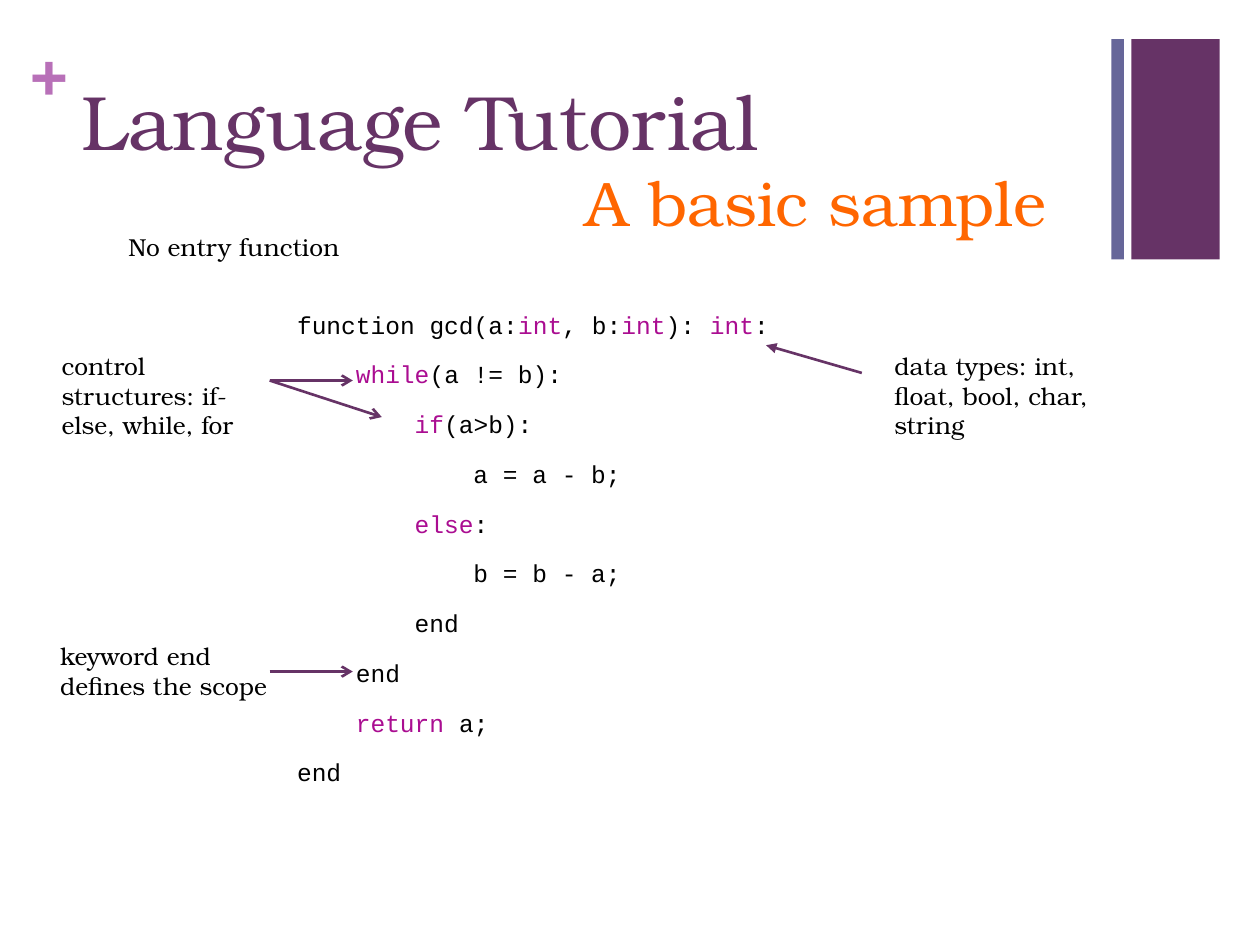
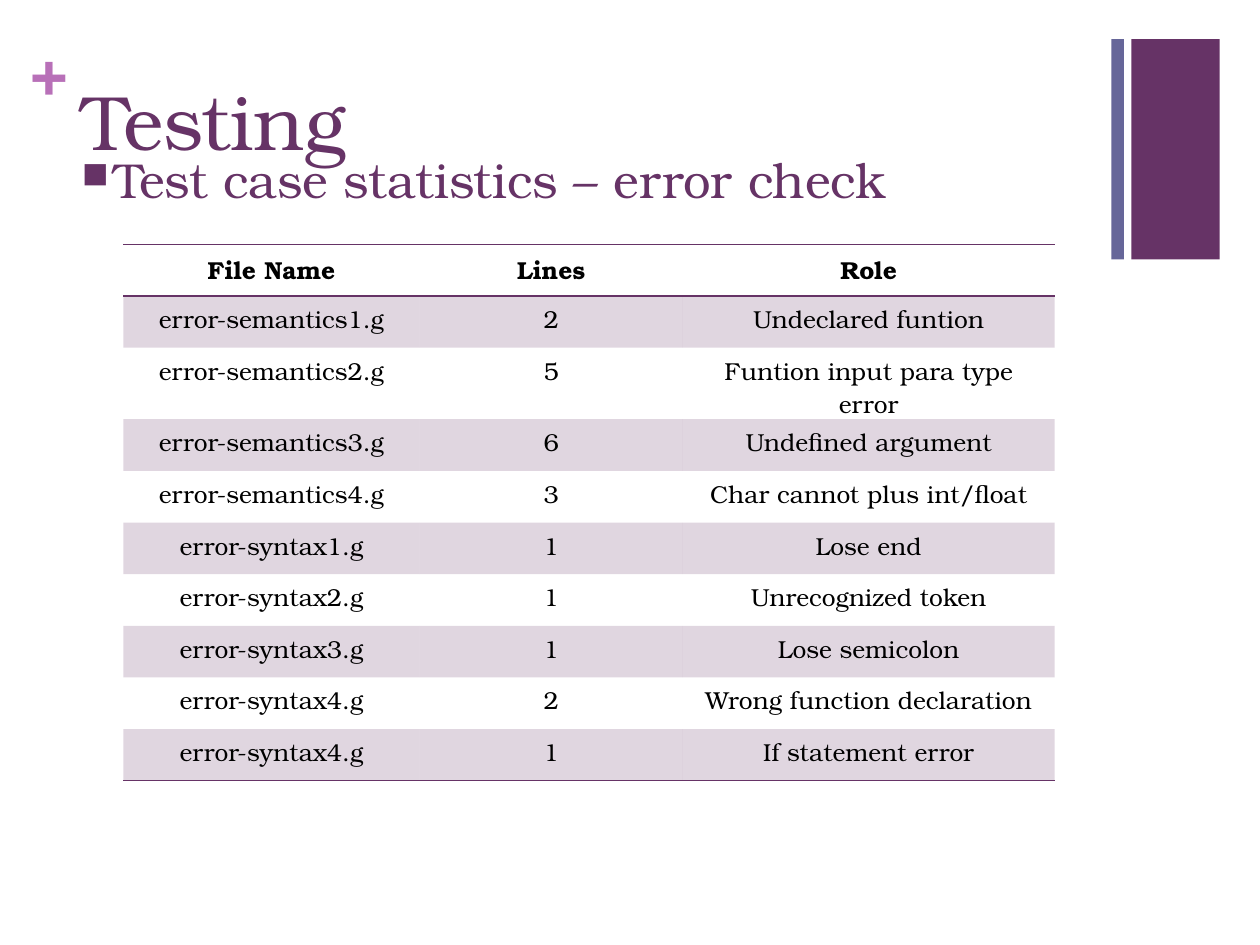
from dataclasses import dataclass

from lxml import etree
from pptx import Presentation
from pptx import util as u
from pptx.dml.color import RGBColor
from pptx.enum import shapes, text
from pptx.oxml import ns


@dataclass(frozen=True)
class Theme:
    serif: str = "TeX Gyre Bonum"
    mono: str = "Courier New"
    plum: str = "663366"
    slate: str = "666699"
    orchid: str = "B870B8"
    orange: str = "FF6600"
    keyword: str = "AA0D91"
    ink: str = "000000"
    title: int = 44
    subtitle: int = 36
    topic: int = 28
    body: int = 14
    gap: int = 20
    line: float = 1.5
    border: float = 1
    stripe_alpha: int = 20


THEME = Theme()

# Content: code lines are (indent level, text), with keywords between bars
CODE = [
    (0, "function gcd(a:|int|, b:|int|): |int|:"),
    (1, "|while|(a != b):"),
    (2, "|if|(a>b):"),
    (3, "a = a - b;"),
    (2, "|else|:"),
    (3, "b = b - a;"),
    (2, "end"),
    (1, "end"),
    (1, "|return |a;"),
    (0, "end"),
]
NOTES = [
    ("data types: int, float, bool, char, string", (7, 2.74, 2.14, 0.57)),
    ("control structures: if-else, while, for", (0.39, 2.74, 1.88, 0.57)),
    ("keyword end defines the scope", (0.38, 5.04, 2.04, 0.57)),
    ("No entry function", (0.92, 1.79, 1.88, 0.34)),
]
ARROWS = [  # start, end, arrowhead place, arrowhead type
    ((6.08, 2.74), (6.84, 2.96), "headEnd", "triangle"),
    ((2.14, 3.02), (2.8, 3.02), "tailEnd", "arrow"),
    ((2.14, 3.02), (3.03, 3.31), "tailEnd", "arrow"),
    ((2.14, 5.33), (2.8, 5.33), "tailEnd", "arrow"),
]
TEST_HEADER = ("File Name", "Lines", "Role")
TEST_CASES = [
    ("error-semantics1.g", "2", "Undeclared funtion"),
    ("error-semantics2.g", "5", "Funtion input para type error"),
    ("error-semantics3.g", "6", "Undefined argument"),
    ("error-semantics4.g", "3", "Char cannot plus int/float"),
    ("error-syntax1.g", "1", "Lose end"),
    ("error-syntax2.g", "1", "Unrecognized token"),
    ("error-syntax3.g", "1", "Lose semicolon"),
    ("error-syntax4.g", "2", "Wrong function declaration"),
    ("error-syntax4.g", "1", "If statement error"),
]

# Shared layout, in inches
MARGIN, CONTENT_WIDTH = 0.55, 8.26
TITLE_BOX = (MARGIN, 0.53, CONTENT_WIDTH, 1.22)
BAND_TOP, BAND_HEIGHT = 0.31, 1.75
BANDS = [(8.98, 0.7, THEME.plum), (8.82, 0.1, THEME.slate)]
CODE_INDENT = 4 * 0.6 * THEME.body / 72  # four monospaced characters
TABLE_COLUMNS, TABLE_ROW = (2.35, 2.09, 2.95), 0.41
NO_TABLE_STYLE = "{2D5ABB26-0587-4C30-8999-92F81FD0307C}"


def inches(values):
    return [u.Inches(value) for value in values]


def add_xml(parent, tag, **attributes):
    return etree.SubElement(parent, ns.qn(tag), attributes)


def add_run(paragraph, words, size=THEME.body, color=THEME.ink, font=THEME.serif, bold=False):
    run = paragraph.add_run()
    run.text = words
    run.font.size, run.font.name, run.font.bold = u.Pt(size), font, bold
    run.font.color.rgb = RGBColor.from_string(color)


def add_box(slide, box, inset=None):
    """Add a wrapping text box and return its text frame."""
    frame = slide.shapes.add_textbox(*inches(box)).text_frame
    frame.word_wrap = True
    if inset is not None:
        frame.margin_left = frame.margin_right = u.Inches(inset)
        frame.margin_top = frame.margin_bottom = u.Inches(inset)
    return frame


def add_slide(presentation, title):
    """Add a slide with the shared bands, plus sign and title."""
    slide = presentation.slides.add_slide(presentation.slide_layouts[5])
    for left, width, color in BANDS:
        band = slide.shapes.add_shape(
            shapes.MSO_SHAPE.RECTANGLE, *inches((left, BAND_TOP, width, BAND_HEIGHT)))
        band.shadow.inherit = False
        band.fill.solid()
        band.fill.fore_color.rgb = RGBColor.from_string(color)
        band.line.fill.background()
    plus = add_box(slide, (0.24, 0.25, 0.29, 0.61), inset=0)
    add_run(plus.paragraphs[0], "+", THEME.subtitle, THEME.orchid, bold=True)

    shape = slide.shapes.title
    shape.left, shape.top, shape.width, shape.height = inches(TITLE_BOX)
    frame = shape.text_frame
    frame.vertical_anchor = text.MSO_ANCHOR.TOP
    frame.auto_size = text.MSO_AUTO_SIZE.NONE
    frame.paragraphs[0].alignment = text.PP_ALIGN.LEFT
    add_run(frame.paragraphs[0], title, THEME.title, THEME.plum)
    return slide


def add_code(slide, box):
    frame = add_box(slide, box)
    for index, (level, line) in enumerate(CODE):
        paragraph = frame.add_paragraph() if index else frame.paragraphs[0]
        paragraph.line_spacing, paragraph.space_before = 0.5, u.Pt(THEME.gap)
        properties = paragraph._p.get_or_add_pPr()
        properties.set("marL", str(u.Inches(level * CODE_INDENT)))
        for part, words in enumerate(line.split("|")):
            if words:
                color = THEME.keyword if part % 2 else THEME.ink
                add_run(paragraph, words, color=color, font=THEME.mono)


def add_arrow(slide, start, end, place, kind):
    arrow = slide.shapes.add_connector(
        shapes.MSO_CONNECTOR.STRAIGHT, *inches(start + end))
    arrow.line.color.rgb = RGBColor.from_string(THEME.plum)
    arrow.line.width = u.Pt(THEME.line)
    add_xml(arrow.line._get_or_add_ln(), "a:" + place, type=kind)
    add_xml(arrow._element.spPr, "a:effectLst")


def add_topic(slide, words, box):
    paragraph = add_box(slide, box).paragraphs[0]
    paragraph.space_before = u.Pt(THEME.gap)
    properties = paragraph._p.get_or_add_pPr()
    properties.set("marL", str(u.Inches(0.25)))
    properties.set("indent", str(u.Inches(-0.25)))
    add_xml(add_xml(properties, "a:buClr"), "a:srgbClr", val=THEME.plum)
    add_xml(properties, "a:buSzPct", val="75000")
    add_xml(properties, "a:buChar", char="■")
    add_run(paragraph, words, THEME.topic, THEME.plum)


def format_cell(cell, striped, borders):
    properties = cell._tc.get_or_add_tcPr()
    if striped:
        cell.fill.solid()
        cell.fill.fore_color.rgb = RGBColor.from_string(THEME.plum)
        color = properties.find(".//" + ns.qn("a:srgbClr"))
        add_xml(color, "a:alpha", val=str(THEME.stripe_alpha * 1000))
    else:
        cell.fill.background()
    for position, side in enumerate(borders):
        line = add_xml(properties, "a:ln" + side, w=str(u.Pt(THEME.border)))
        add_xml(add_xml(line, "a:solidFill"), "a:srgbClr", val=THEME.plum)
        properties.insert(position, line)  # borders come before the fill


def add_test_table(slide, left, top):
    rows = [TEST_HEADER] + TEST_CASES
    table = slide.shapes.add_table(
        len(rows), len(TABLE_COLUMNS),
        *inches((left, top, sum(TABLE_COLUMNS), TABLE_ROW * len(rows)))).table
    table.horz_banding = False
    table._tbl.tblPr.find(ns.qn("a:tableStyleId")).text = NO_TABLE_STYLE
    for column, width in zip(table.columns, TABLE_COLUMNS):
        column.width = u.Inches(width)
    borders = {0: "TB", len(rows) - 1: "B"}
    for row, values in enumerate(rows):
        table.rows[row].height = u.Inches(TABLE_ROW)
        for column, words in enumerate(values):
            cell = table.cell(row, column)
            format_cell(cell, row % 2 == 1, borders.get(row, ""))
            paragraph = cell.text_frame.paragraphs[0]
            paragraph.alignment = text.PP_ALIGN.CENTER
            add_run(paragraph, words, bold=row == 0)


def main():
    presentation = Presentation()
    presentation.slide_width, presentation.slide_height = inches((10, 7.5))

    # Annotated code sample
    slide = add_slide(presentation, "Language Tutorial")
    add_code(slide, (2.26, 2.51, CONTENT_WIDTH, 4.53))
    for arrow in ARROWS:
        add_arrow(slide, *arrow)
    for words, box in NOTES:
        add_run(add_box(slide, box).paragraphs[0], words)
    subtitle = add_box(slide, (4.55, 1.25, 4.01, 0.71))
    add_run(subtitle.paragraphs[0], "A basic sample", THEME.subtitle, THEME.orange)

    # Test statistics
    slide = add_slide(presentation, "Testing")
    add_topic(slide, "Test case statistics – error check",
              (MARGIN, 1.14, CONTENT_WIDTH, 4.95))
    add_test_table(slide, 0.98, 1.94)

    presentation.save("out.pptx")


if __name__ == "__main__":
    main()
